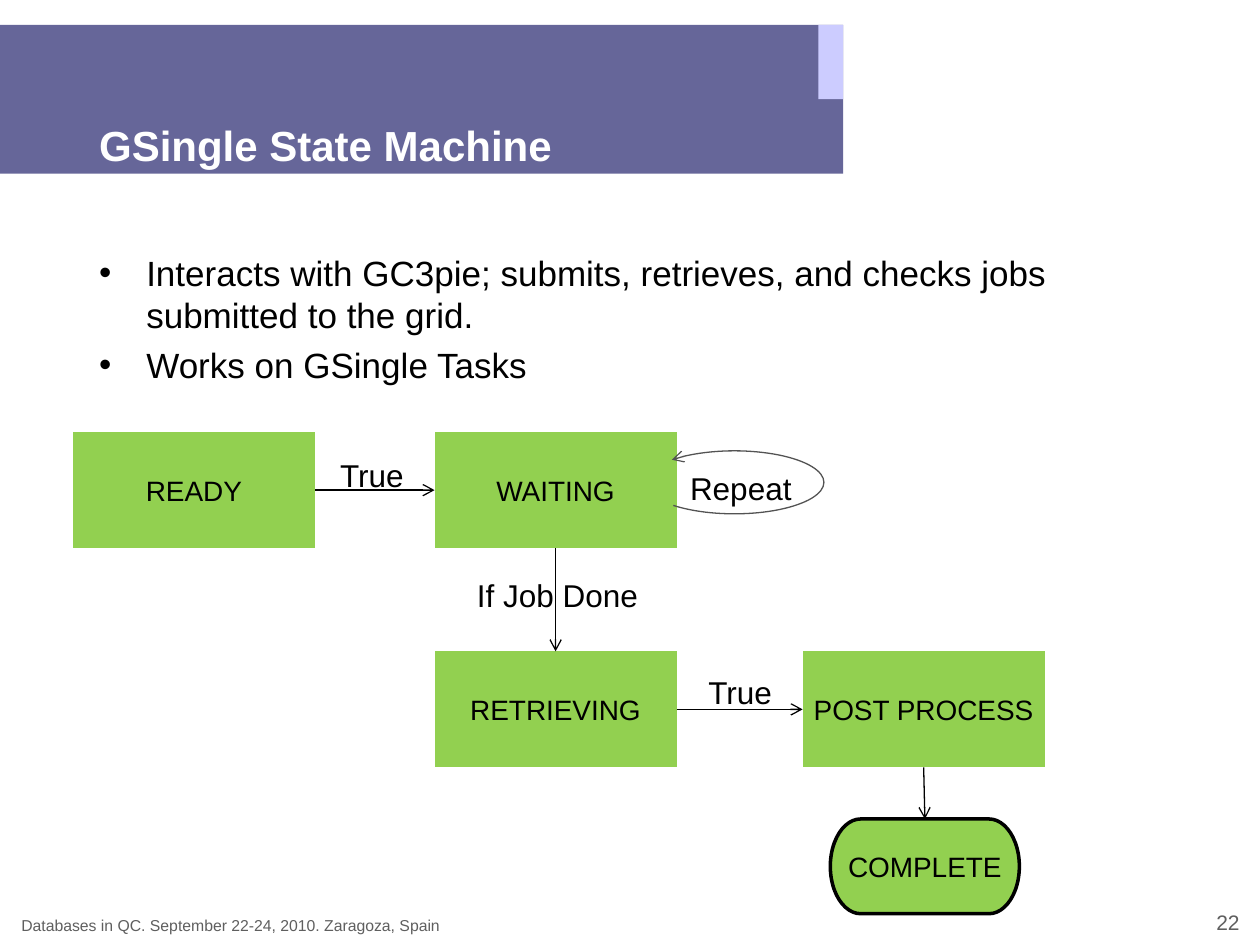
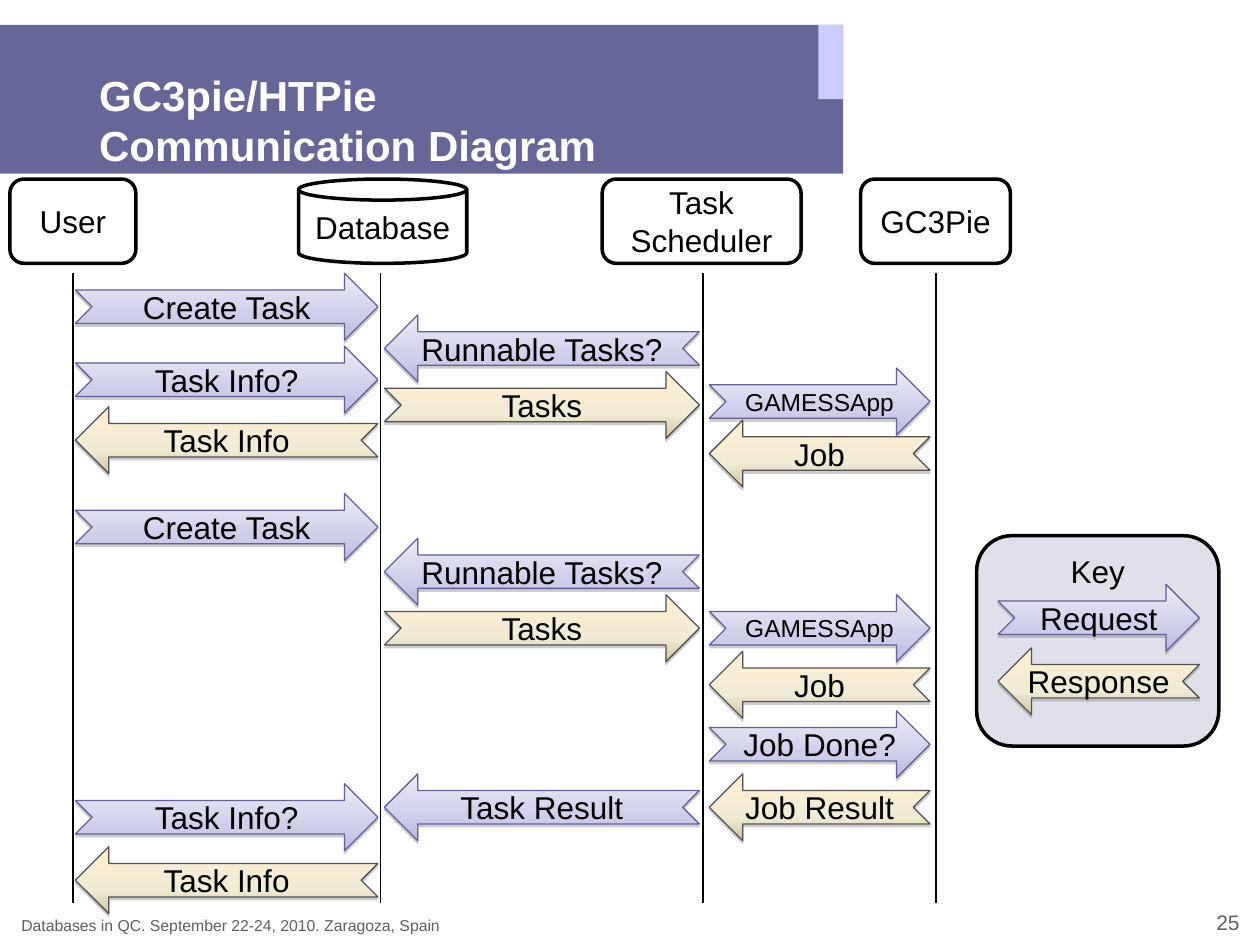
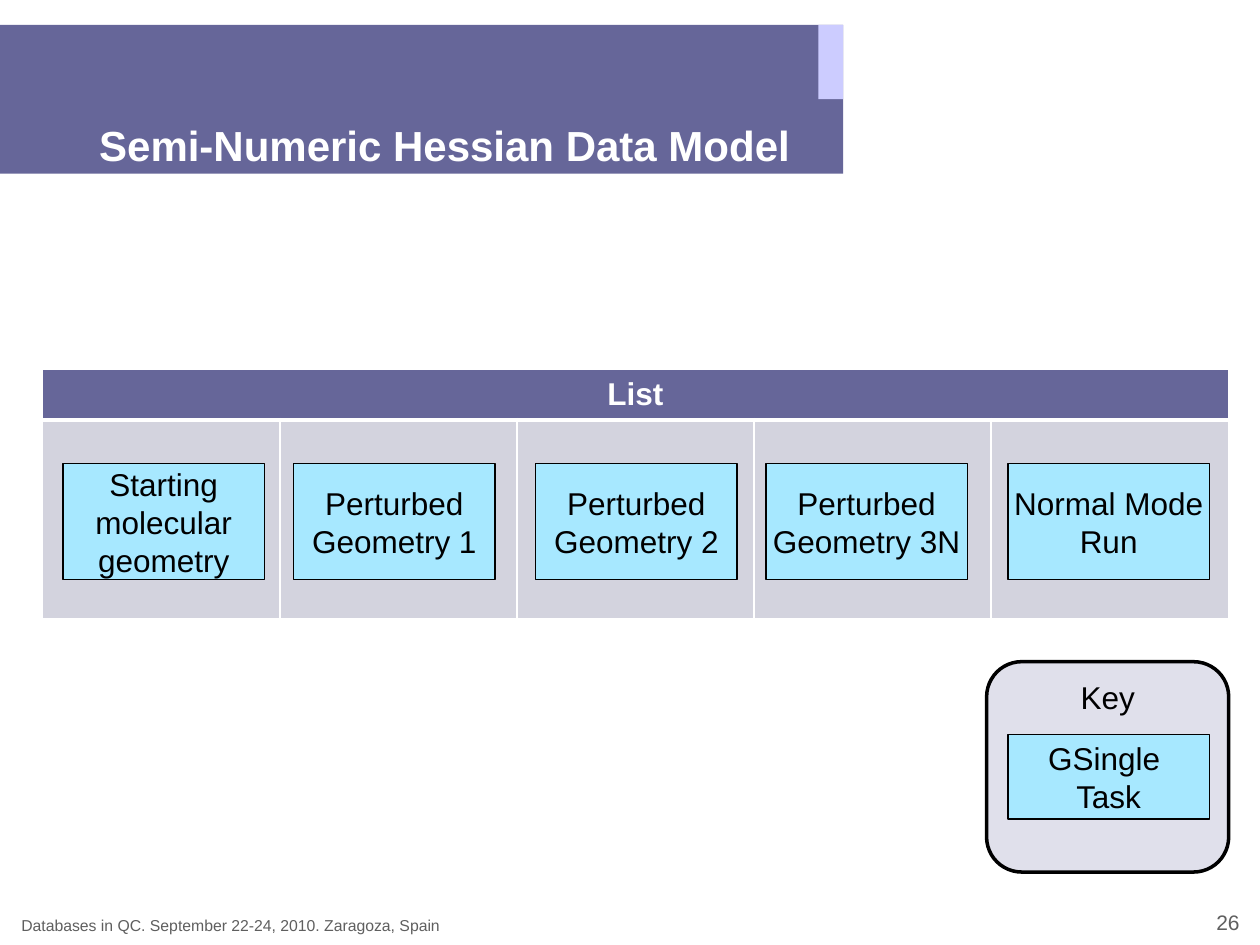
"""Build three slides on the GSingle state machine, its messages and its data model."""
from copy import deepcopy

from lxml.etree import SubElement
from pptx import Presentation
from pptx.dml.color import RGBColor
from pptx.enum.shapes import MSO_CONNECTOR, MSO_SHAPE
from pptx.enum.text import MSO_ANCHOR, PP_ALIGN
from pptx.oxml.ns import qn
from pptx.util import Cm, Pt

FONT = "Arial"
BLACK = RGBColor(0, 0, 0)
WHITE = RGBColor(255, 255, 255)
GREY = RGBColor(0x5F, 0x5F, 0x5F)
DARK_GREY = RGBColor(0x53, 0x53, 0x53)
BAND = RGBColor(0x66, 0x66, 0x99)
TAB = RGBColor(0xCC, 0xCC, 0xFF)
GREEN = RGBColor(0x92, 0xD0, 0x50)
SKY = RGBColor(0xA7, 0xE8, 0xFF)
KEY_FILL = RGBColor(0xE0, 0xE0, 0xEB)
CELL_FILL = RGBColor(0xD3, 0xD3, 0xDE)
REQUEST_LINE = RGBColor(0x62, 0x62, 0x97)
REQUEST_STOPS = [
    (0, RGBColor(0xEC, 0xEC, 0xF7)),
    (0.65, RGBColor(0xCE, 0xCE, 0xEA)),
    (1, RGBColor(0xB8, 0xB8, 0xE2)),
]
RESPONSE_STOPS = [
    (0, RGBColor(0xFF, 0xEF, 0xD1)),
    (0.65, RGBColor(0xF0, 0xEB, 0xD5)),
    (1, RGBColor(0xD1, 0xC3, 0x9F)),
]
ARROW_STYLES = {
    "request": (REQUEST_STOPS, REQUEST_LINE),
    "response": (RESPONSE_STOPS, DARK_GREY),
}
TOP, LEFT, BOTTOM, RIGHT = range(4)

FOOTER = "Databases in QC. September 22-24, 2010. Zaragoza, Spain"

BULLETS = [
    "Interacts with GC3pie; submits, retrieves, and checks jobs submitted to the grid.",
    "Works on GSingle Tasks",
]
STATE_SIZE = (4.88, 2.34)
STATES = {
    "READY": (1.47, 8.71),
    "WAITING": (8.76, 8.71),
    "RETRIEVING": (8.76, 13.13),
    "POST PROCESS": (16.18, 13.13),
}
FINAL_STATE = ("COMPLETE", (16.74, 16.51, 3.81, 1.91))
TRANSITIONS = [
    ("READY", RIGHT, "WAITING", LEFT),
    ("WAITING", BOTTOM, "RETRIEVING", TOP),
    ("RETRIEVING", RIGHT, "POST PROCESS", LEFT),
    ("POST PROCESS", BOTTOM, "COMPLETE", TOP),
]
REPEAT_LOOP = (13, 9.09, 3.61, 1.27)
CONDITIONS = [
    ("Repeat", (13.64, 9.32, 2.59, 1.02)),
    ("If Job Done", (9.35, 11.48, 3.78, 1.02)),
    ("True", (14.02, 13.44, 1.8, 1.02)),
    ("True", (6.6, 9.07, 1.8, 1.02)),
]

ACTORS = [
    ("User", MSO_SHAPE.FLOWCHART_ALTERNATE_PROCESS, 0.2, 2.54, 1.47),
    ("Database", MSO_SHAPE.CAN, 6.02, 3.39, 7.67),
    ("Task\nScheduler", MSO_SHAPE.FLOWCHART_ALTERNATE_PROCESS, 12.14, 4.01, 14.17),
    ("GC3Pie", MSO_SHAPE.FLOWCHART_ALTERNATE_PROCESS, 17.35, 3.02, 18.87),
]
ACTOR_TOP, ACTOR_HEIGHT = 3.61, 1.7
LIFELINE_TOP, LIFELINE_BOTTOM = 5.51, 18.21
ARROW_HEIGHT = 1.35
MESSAGE_COLUMNS = [
    {"left": 1.52, "width": 6.1, "request_goes_left": False, "messages": [
        ("Create Task", "request", 5.51),
        ("Task Info?", "request", 6.98),
        ("Task Info", "response", 8.2),
        ("Create Task", "request", 9.95),
        ("Task Info?", "request", 15.8),
        ("Task Info", "response", 17.07),
    ]},
    {"left": 7.75, "width": 6.35, "request_goes_left": True, "messages": [
        ("Runnable Tasks?", "request", 6.35),
        ("Tasks", "response", 7.49),
        ("Runnable Tasks?", "request", 10.85),
        ("Tasks", "response", 11.99),
        ("Task Result", "request", 15.6),
    ]},
    {"left": 14.3, "width": 4.45, "request_goes_left": False, "messages": [
        ("GAMESSApp", "request", 7.42),
        ("Job", "response", 8.47),
        ("GAMESSApp", "request", 11.99),
        ("Job", "response", 13.13),
        ("Job Done?", "request", 14.33),
        ("Job Result", "response", 15.6),
    ]},
    {"left": 20.12, "width": 4.06, "request_goes_left": False, "messages": [
        ("Request", "request", 11.78),
        ("Response", "response", 13.06),
    ]},
]
SMALL_TEXT = {"GAMESSApp": 14}

TABLE_HEADING = "List"
TABLE_LEFT, TABLE_TOP = 0.86, 7.45
COLUMN_WIDTH, ROW_HEIGHTS = 4.78, (1.02, 4.01)
TASK_TOP, TASK_WIDTH, TASK_HEIGHT = 9.35, 4.06, 2.34
TASKS = [
    ("Starting molecular geometry", 1.27),
    ("Perturbed Geometry 1", 5.92),
    ("Perturbed Geometry 2", 10.8),
    ("Perturbed Geometry 3N", 15.44),
    ("Normal Mode Run", 20.32),
]
KEY_TASK = ("GSingle \nTask", (20.32, 14.81, TASK_WIDTH, 1.7))


def set_all(target, values):
    for name, value in values.items():
        setattr(target, name, value)


def write(text_frame, text, size=18, color=BLACK, bold=False,
          align=PP_ALIGN.CENTER, anchor=MSO_ANCHOR.MIDDLE, top_inset=0, wrap=True):
    text_frame.text = text
    set_all(text_frame, {
        "margin_left": 0, "margin_right": 0, "margin_top": Cm(top_inset),
        "margin_bottom": 0, "vertical_anchor": anchor, "word_wrap": wrap,
    })
    for paragraph in text_frame.paragraphs:
        paragraph.alignment = align
        for run in paragraph.runs:
            set_all(run.font, {"name": FONT, "size": Pt(size), "bold": bold})
            run.font.color.rgb = color


def add_text(slide, box, text, **style):
    text_box = slide.shapes.add_textbox(*map(Cm, box))
    write(text_box.text_frame, text, **style)
    return text_box


def set_line(line, color, width):
    line.color.rgb = color
    line.width = Pt(width)


def add_box(slide, kind, box, fill=None, line=None, text="", **style):
    shape = slide.shapes.add_shape(kind, *map(Cm, box))
    shape.shadow.inherit = False
    if fill is None:
        shape.fill.background()
    else:
        shape.fill.solid()
        shape.fill.fore_color.rgb = fill
    if line is None:
        shape.line.fill.background()
    else:
        set_line(shape.line, *line)
    if text:
        write(shape.text_frame, text, **style)
    return shape


def add_line(slide, start=(0, 0), end=(0, 0)):
    connector = slide.shapes.add_connector(
        MSO_CONNECTOR.STRAIGHT, *map(Cm, (*start, *end)))
    set_line(connector.line, BLACK, 0.75)
    SubElement(connector.element.spPr, qn("a:effectLst"))
    return connector


def add_arrowhead(shape, end):
    SubElement(shape.line._get_or_add_ln(), qn(end), type="arrow")


def add_key(slide, left, top):
    add_box(slide, MSO_SHAPE.FLOWCHART_ALTERNATE_PROCESS, (left, top, 4.88, 4.24),
            KEY_FILL, (BLACK, 2), "Key", anchor=MSO_ANCHOR.TOP, top_inset=0.13)


def add_base(presentation, title, number):
    slide = presentation.slides.add_slide(presentation.slide_layouts[6])
    add_box(slide, MSO_SHAPE.RECTANGLE, (0, 0.5, 17, 3), BAND)
    add_box(slide, MSO_SHAPE.RECTANGLE, (16.5, 0.5, 0.5, 1.5), TAB)
    bottom = {"anchor": MSO_ANCHOR.BOTTOM}
    add_text(slide, (2, 1.5, 14, 1.93), title, size=24, color=WHITE, bold=True,
             align=PP_ALIGN.LEFT, **bottom)
    add_text(slide, (0.43, 18.42, 13.97, 0.43), FOOTER, size=9, color=GREY,
             align=PP_ALIGN.LEFT, **bottom)
    add_text(slide, (20.75, 18.34, 4.24, 0.51), str(number), size=12, color=GREY,
             align=PP_ALIGN.RIGHT, **bottom)
    return slide


def add_bullets(slide):
    text_box = add_text(slide, (2, 5.08, 20.98, 3), "\n".join(BULLETS), size=20,
                        align=PP_ALIGN.LEFT, anchor=MSO_ANCHOR.TOP)
    for paragraph in text_box.text_frame.paragraphs:
        paragraph.space_before = Pt(4)
        properties = paragraph._p.get_or_add_pPr()
        properties.set("marL", str(Cm(0.95)))
        properties.set("indent", str(-Cm(0.95)))
        SubElement(properties, qn("a:buFont"), typeface=FONT)
        SubElement(properties, qn("a:buChar"), char="•")


def build_state_machine(presentation):
    slide = add_base(presentation, "GSingle State Machine", 22)
    add_bullets(slide)
    states = {
        name: add_box(slide, MSO_SHAPE.FLOWCHART_PROCESS, (*corner, *STATE_SIZE),
                      GREEN, text=name, size=16)
        for name, corner in STATES.items()
    }
    name, box = FINAL_STATE
    states[name] = add_box(slide, MSO_SHAPE.FLOWCHART_TERMINATOR, box, GREEN,
                           (BLACK, 2), name, size=16)
    loop = add_box(slide, MSO_SHAPE.ARC, REPEAT_LOOP, line=(DARK_GREY, 0.75))
    loop.adjustments[0], loop.adjustments[1] = 119.93, 95.58
    add_arrowhead(loop, "a:headEnd")
    for source, source_side, target, target_side in TRANSITIONS:
        connector = add_line(slide)
        connector.begin_connect(states[source], source_side)
        connector.end_connect(states[target], target_side)
        add_arrowhead(connector, "a:tailEnd")
    for text, box in CONDITIONS:
        add_text(slide, box, text, wrap=False)


def add_message(slide, box, text, kind, goes_left):
    stops, line_color = ARROW_STYLES[kind]
    arrow = add_box(slide, MSO_SHAPE.NOTCHED_RIGHT_ARROW, box, line=(line_color, 0.75),
                    text=text, size=SMALL_TEXT.get(text, 18))
    properties = arrow.element.spPr
    if goes_left:
        properties.xfrm.set("flipH", "1")
    arrow.fill.gradient()
    arrow.fill.gradient_angle = 270
    stop_list = properties.find(".//" + qn("a:gsLst"))
    stop_list.append(deepcopy(stop_list[0]))
    for stop, (position, color) in zip(arrow.fill.gradient_stops, stops):
        stop.position = position
        stop.color.rgb = color
    shadow = SubElement(properties.find(qn("a:effectLst")), qn("a:outerShdw"),
                        blurRad="0", dist=str(Pt(1.6)), dir="5400000", rotWithShape="0")
    shadow_color = SubElement(shadow, qn("a:srgbClr"), val="808080")
    SubElement(shadow_color, qn("a:alpha"), val="38000")


def build_communication(presentation):
    slide = add_base(presentation, "GC3pie/HTPie\nCommunication Diagram", 25)
    for name, kind, left, width, lifeline in ACTORS:
        add_line(slide, (lifeline, LIFELINE_TOP), (lifeline, LIFELINE_BOTTOM))
        add_box(slide, kind, (left, ACTOR_TOP, width, ACTOR_HEIGHT), WHITE,
                (BLACK, 2), name)
    add_key(slide, 19.69, 10.8)
    for column in MESSAGE_COLUMNS:
        for text, kind, top in column["messages"]:
            goes_left = (kind == "request") == column["request_goes_left"]
            box = (column["left"], top, column["width"], ARROW_HEIGHT)
            add_message(slide, box, text, kind, goes_left)


def style_cell(cell, fill, bottom_width):
    properties = cell._tc.get_or_add_tcPr()
    for side, width in (("L", 1), ("R", 1), ("T", 1), ("B", bottom_width)):
        line = SubElement(properties, qn("a:ln" + side), w=str(Pt(width)))
        SubElement(SubElement(line, qn("a:solidFill")), qn("a:srgbClr"), val=str(WHITE))
    cell.fill.solid()
    cell.fill.fore_color.rgb = fill


def add_list_table(slide):
    count = len(TASKS)
    frame = slide.shapes.add_table(
        2, count, Cm(TABLE_LEFT), Cm(TABLE_TOP),
        Cm(COLUMN_WIDTH * count), Cm(sum(ROW_HEIGHTS)))
    table = frame.table
    for column in table.columns:
        column.width = Cm(COLUMN_WIDTH)
    for row, height, fill, bottom_width in zip(
            table.rows, ROW_HEIGHTS, (BAND, CELL_FILL), (3, 1)):
        row.height = Cm(height)
        for cell in row.cells:
            style_cell(cell, fill, bottom_width)
    heading = table.cell(0, 0)
    heading.merge(table.cell(0, count - 1))
    write(heading.text_frame, TABLE_HEADING, color=WHITE, bold=True)
    heading.vertical_anchor = MSO_ANCHOR.MIDDLE


def build_data_model(presentation):
    slide = add_base(presentation, "Semi-Numeric Hessian Data Model", 26)
    add_list_table(slide)
    add_key(slide, 19.89, 13.34)
    boxes = [(text, (left, TASK_TOP, TASK_WIDTH, TASK_HEIGHT)) for text, left in TASKS]
    for text, box in [*boxes, KEY_TASK]:
        add_box(slide, MSO_SHAPE.FLOWCHART_PROCESS, box, SKY, (BLACK, 0.75), text)


def main():
    presentation = Presentation()
    presentation.slide_width, presentation.slide_height = Cm(25.4), Cm(19.05)
    build_state_machine(presentation)
    build_communication(presentation)
    build_data_model(presentation)
    presentation.save("out.pptx")


if __name__ == "__main__":
    main()
